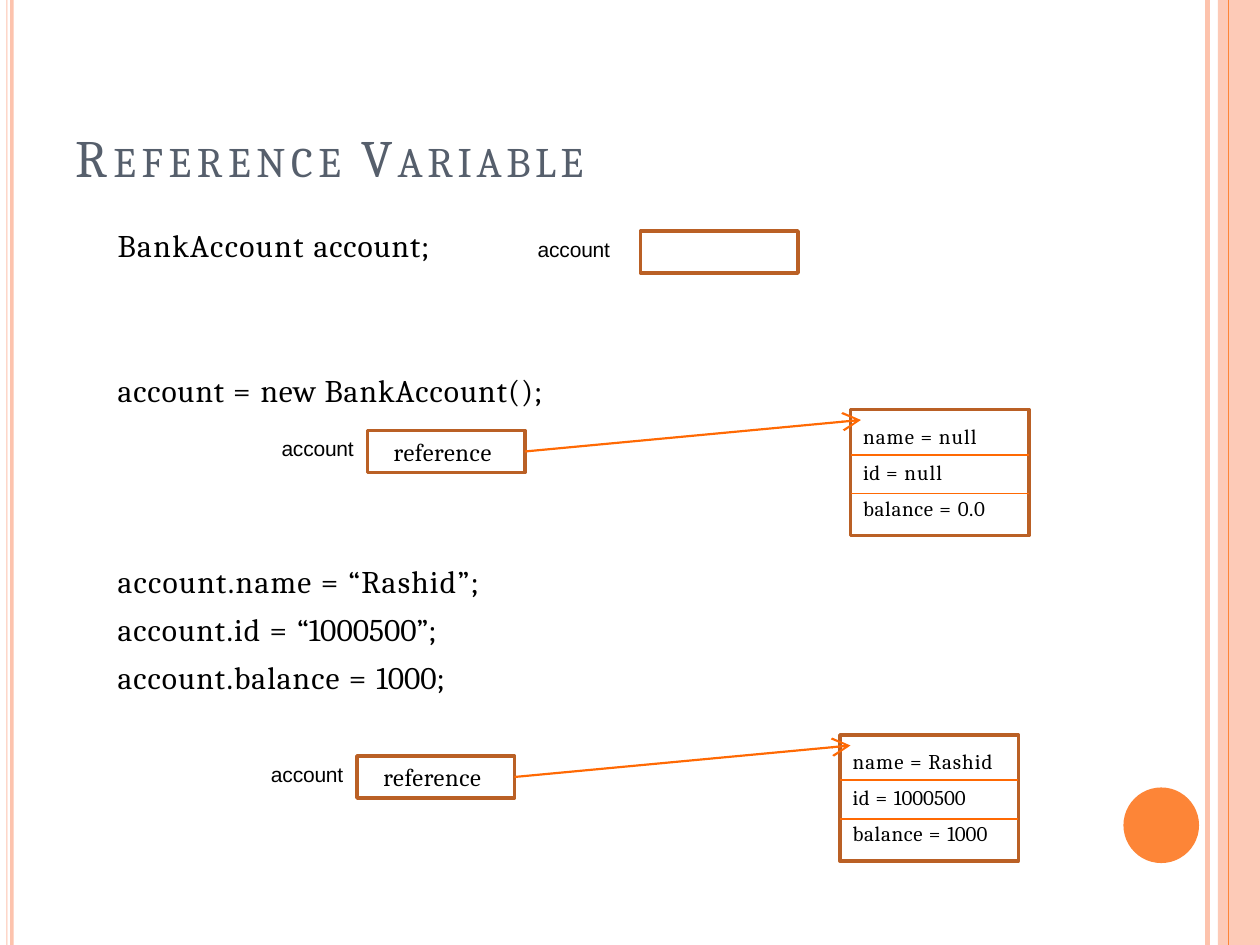
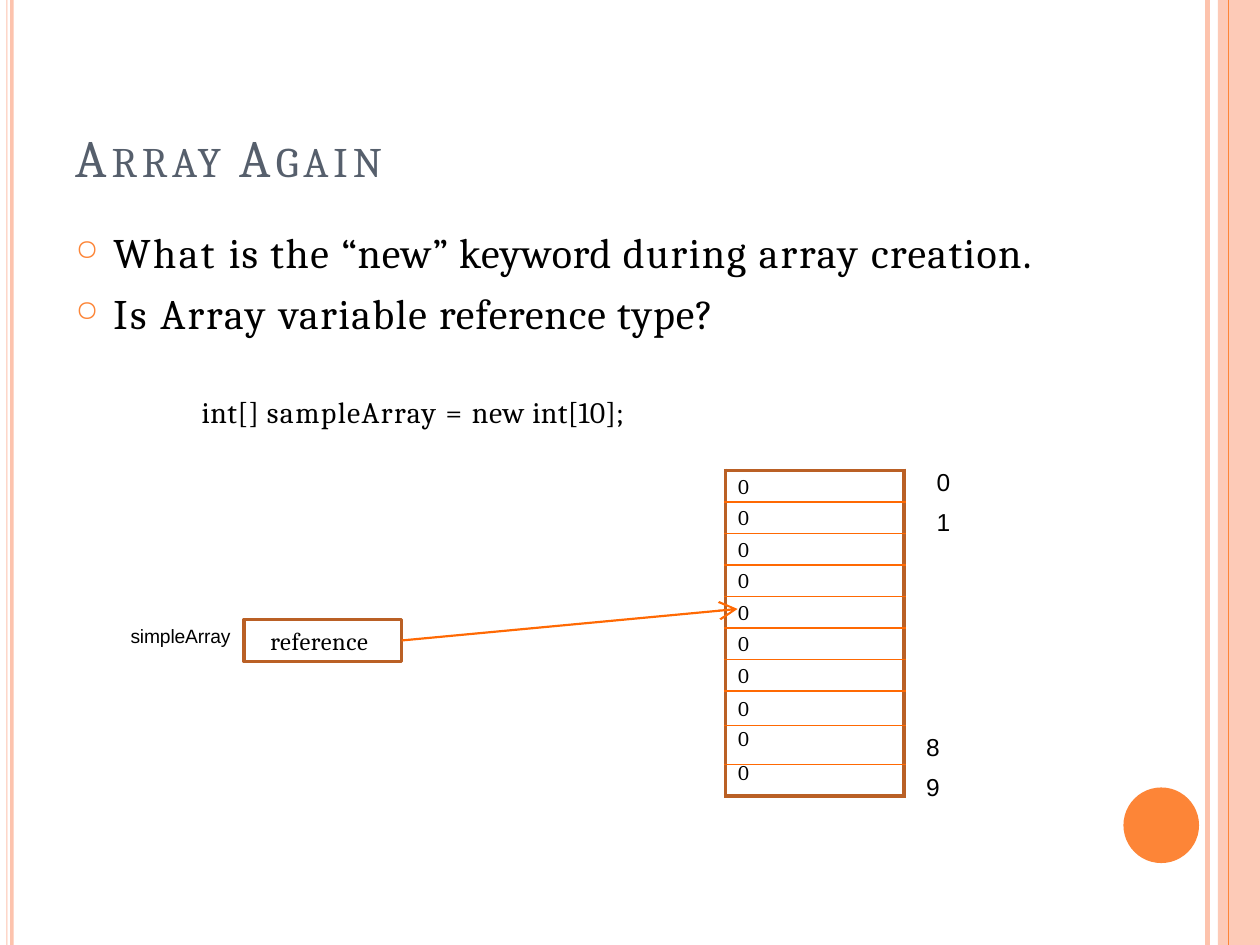
"""Builds two slides on reference variables and arrays, on a grid of 120 by 90 cells."""
from lxml import etree
from pptx import Presentation, util as u
from pptx.dml.color import RGBColor
from pptx.enum import shapes, text
from pptx.oxml import ns

COLUMNS, ROWS = 120, 90
INK, SLATE = "000000", "565F6C"
ORANGE, PEACH, ARROW, BROWN = "FD8537", "FDC3AD", "FF6903", "BA6025"
SERIF, SANS = "Cambria", "Arial"


def rgb(value):
    return RGBColor.from_string(value)


def child(parent, tag, **attributes):
    return etree.SubElement(parent, ns.qn(tag), attributes)


class Deck:
    """Holds the style and the current slide."""

    def __init__(self):
        self.prs = Presentation()
        self.prs.slide_width, self.prs.slide_height = u.Inches(10), u.Inches(7.5)
        self.unit = self.prs.slide_width / COLUMNS
        self.s = None

    def size(self, *cells):
        return [round(c * self.unit) for c in cells]

    def slide(self, words):
        self.s = self.prs.slides.add_slide(self.prs.slide_layouts[6])
        self.line(115, 0, 115, ROWS, PEACH, 3)
        self.shape(107, 75, 7.2, 7.2, fill=ORANGE, kind=shapes.MSO_SHAPE.OVAL)
        self.shape(0.6, 0, 0.12, ROWS, fill=PEACH)
        self.shape(0.96, 0, 0.36, ROWS, fill=PEACH)
        band = self.shape(116, 0, 4, ROWS, fill=PEACH)
        color = band._element.spPr.find(".//" + ns.qn("a:srgbClr"))
        child(color, "a:alpha", val="87000")
        self.line(117, 0, 117, ROWS, ORANGE, 0.75)
        runs = []
        for i, (word, spacing) in enumerate(words):
            gap = " " if i < len(words) - 1 else ""
            runs += [(word[0], spacing, 30), (word[1:].upper() + gap, spacing, 24)]
        self.text(7.2, 11.9, 90, [runs], 30, color=SLATE)

    def shape(self, x, y, w, h, fill=None, line=None, kind=shapes.MSO_SHAPE.RECTANGLE):
        sp = self.s.shapes.add_shape(kind, *self.size(x, y, w, h))
        sp.shadow.inherit = False
        if fill:
            sp.fill.solid()
            sp.fill.fore_color.rgb = rgb(fill)
        else:
            sp.fill.background()
        if line:
            sp.line.color.rgb = rgb(line)
            sp.line.width = u.Pt(2)
        else:
            sp.line.fill.background()
        return sp

    def line(self, x1, y1, x2, y2, color, width, arrow=False):
        sp = self.s.shapes.add_connector(
            shapes.MSO_CONNECTOR.STRAIGHT, *self.size(x1, y1, x2, y2))
        sp.line.color.rgb = rgb(color)
        sp.line.width = u.Pt(width)
        if arrow:
            ln = sp._element.spPr.find(ns.qn("a:ln"))
            child(ln, "a:tailEnd", type="arrow", w="lg", len="lg")
        child(sp._element.spPr, "a:effectLst")

    def fill_text(self, tf, paragraphs, size, font=SERIF, color=INK, align="LEFT",
                  before=0, bullet=False, inset=(0, 0)):
        tf.word_wrap = True
        tf.vertical_anchor = text.MSO_ANCHOR.TOP
        tf.margin_left, tf.margin_top = self.size(*inset)
        tf.margin_right = tf.margin_bottom = 0
        for i, runs in enumerate(paragraphs):
            p = tf.add_paragraph() if i else tf.paragraphs[0]
            p.alignment = text.PP_ALIGN[align]
            if i:
                p.space_before = u.Pt(before)
            if bullet:
                self.bullet(p)
            p.font.size, p.font.name = u.Pt(size), font
            p.font.color.rgb = rgb(color)
            for words, spacing, *own_size in runs:
                r = p.add_run()
                r.text = words
                if spacing:
                    r._r.get_or_add_rPr().set("spc", str(round(spacing * 100)))
                if own_size:
                    r.font.size = u.Pt(own_size[0])

    def bullet(self, p):
        pPr = p._p.get_or_add_pPr()
        hang, = self.size(3.6)
        pPr.set("marL", str(hang))
        pPr.set("indent", str(-hang))
        child(child(pPr, "a:buClr"), "a:srgbClr", val=ORANGE)
        child(pPr, "a:buSzPct", val="69000")
        child(pPr, "a:buChar", char="○")

    def text(self, x, y, w, paragraphs, size, **style):
        h = len(paragraphs) * size / 5
        sp = self.s.shapes.add_textbox(*self.size(x, y, w, h))
        self.fill_text(sp.text_frame, paragraphs, size, **style)

    def label(self, right, y, words, size=12):
        self.text(right - 14, y, 14, [[(words, -0.1)]], size, font=SANS, align="RIGHT")

    def variable(self, x, y):
        return self.shape(x, y, 15, 4, line=BROWN)

    def reference(self, x, y, name, size=12):
        sp = self.variable(x, y)
        self.fill_text(sp.text_frame, [[("reference", 0.3)]], 14, inset=(2.5, 0.6))
        self.label(x - 1.3, y + 0.5, name, size)

    def pointer(self, x, y):
        self.line(x + 15, y + 2, x + 47, y - 1, ARROW, 1.25, arrow=True)

    def instance(self, x, y, fields):
        self.shape(x, y, 17, 12, line=BROWN)
        for i, runs in enumerate(fields):
            self.text(x + 1.2, y + 1.3 + 3.43 * i, 15.5, [runs], 12)
        for drop in (4.3, 8):
            self.line(x, y + drop, x + 17, y + drop, ARROW, 1)

    def array(self, x, y, w, heights, insets, value):
        frame = self.s.shapes.add_table(
            len(heights), 1, *self.size(x, y, w, sum(heights)))
        table = frame.table
        table.first_row = table.horz_banding = False
        last = len(heights) - 1
        for i, (height, inset) in enumerate(zip(heights, insets)):
            table.rows[i].height, = self.size(height)
            cell = table.cell(i, 0)
            tf = cell.text_frame
            self.fill_text(tf, [[(value, 0)]], 12)
            tf.paragraphs[0].line_spacing = u.Pt(12.3)
            cell.vertical_anchor = text.MSO_ANCHOR.TOP
            cell.margin_left, cell.margin_top = self.size(1.2, inset)
            cell.margin_right = cell.margin_bottom = 0
            for side, outer in (("L", True), ("R", True), ("T", i == 0), ("B", i == last)):
                self.border(cell, side, *((BROWN, 2.25) if outer else (ARROW, 1)))
            cell.fill.background()

    def border(self, cell, side, color, width):
        ln = child(cell._tc.get_or_add_tcPr(), "a:ln" + side, w=str(u.Pt(width)))
        child(child(ln, "a:solidFill"), "a:srgbClr", val=color)


def reference_slide(d):
    d.slide([("Reference", 3.2), ("Variable", 2.6)])
    d.text(11.2, 21.5, 40, [[("BankAccount ", 0.8), ("account;", 0.5)]], 18)
    d.text(11.2, 35.3, 50, [[("account ", 0.5), ("= ", 0.9), ("new ", 0.4),
                             ("BankAccount();", 0.6)]], 18)
    d.text(11.2, 53.5, 45, [
        [("account.name ", 0.7), ("= ", 0.9), ("“Rashid”;", 0.7)],
        [("account.id ", 0.6), ("= ", 0.9), ("“1000500”;", 0)],
        [("account.balance ", 0.6), ("= ", 0.9), ("1000;", 0)]], 18, before=6)
    d.variable(61, 22)
    d.label(58.1, 22.5, "account")
    objects = [
        (35, 41, [[("name = null", 0.6)],
                  [("id ", 0.3), ("= null", 0.6)],
                  [("balance ", 0.4), ("= ", 0.6), ("0.0", 0.3)]]),
        (34, 72, [[("name = Rashid", 0.6)],
                  [("id ", 0.3), ("= ", 0.6), ("1000500", 0)],
                  [("balance ", 0.4), ("= ", 0.6), ("1000", 0)]])]
    for x, y, fields in objects:
        d.reference(x, y, "account")
        d.instance(x + 46, y - 2, fields)
        d.pointer(x, y)


def array_slide(d):
    d.slide([("Array", 2.6), ("Again", 2.9)])
    d.text(7.2, 21.6, 98, [
        [("What ", 1.4), ("is ", 0.8), ("the ", 0.9), ("“new” ", 0.4), ("keyword ", 0.5),
         ("during ", 0.9), ("array ", 1.1), ("creation.", 0.8)],
        [("Is", 1.4), (" Array ", 1.2), ("variable ", 0.8), ("reference ", 0.5),
         ("type?", 0.6)]], 24, before=6, bullet=True)
    d.text(19.2, 37.5, 60, [[("int[] ", 0.3), ("sampleArray ", 0.8), ("= ", 0.9),
                             ("new ", 0.4), ("int[10];", 0.2)]], 17)
    d.reference(23.25, 59, "simpleArray", 11)
    d.array(69.1, 44.8, 17, [3] * 7 + [3.3, 3.7, 3], [0.7] * 7 + [0.9, 0.45, 0], "0")
    d.pointer(23.25, 59)
    for x, y, indexes in ((89.2, 44.5, "01"), (88.2, 69.7, "89")):
        d.text(x, y, 3, [[(index, 0)] for index in indexes], 14, font=SANS, before=6)


def main():
    d = Deck()
    reference_slide(d)
    array_slide(d)
    d.prs.save("out.pptx")


if __name__ == "__main__":
    main()
